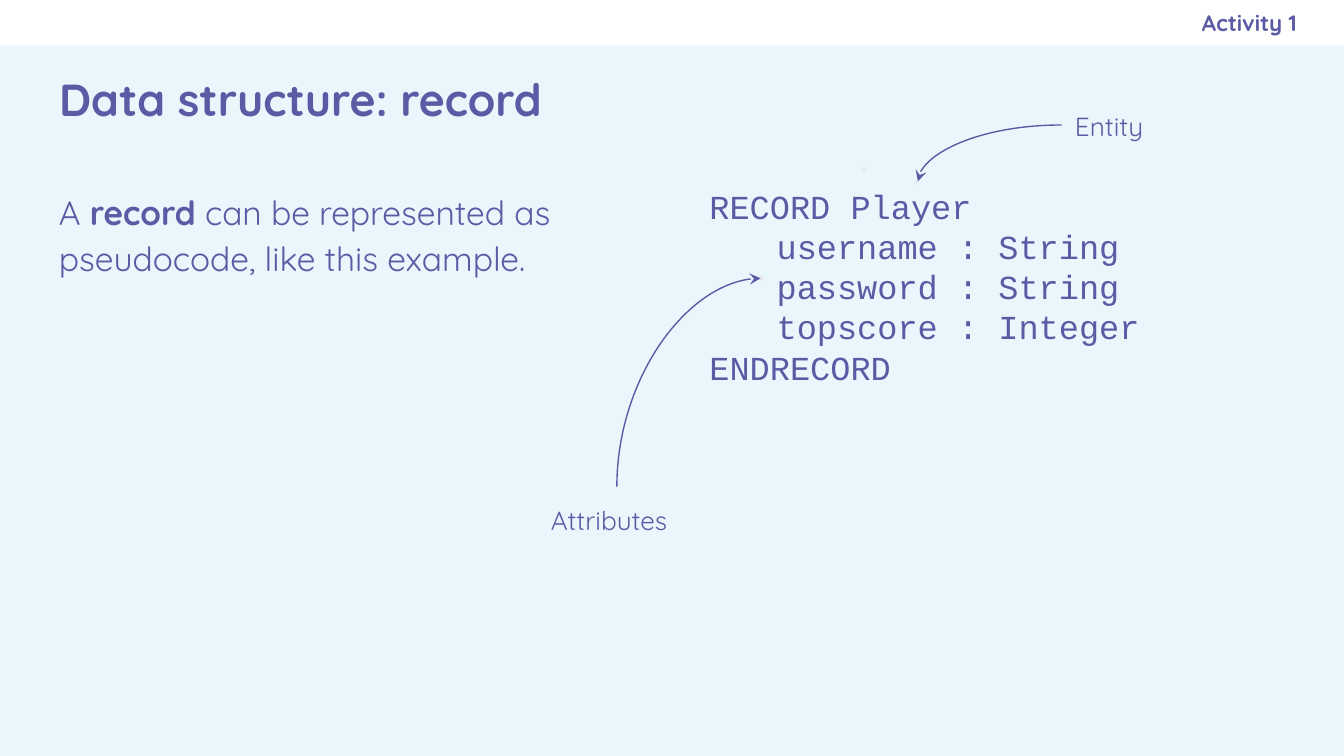
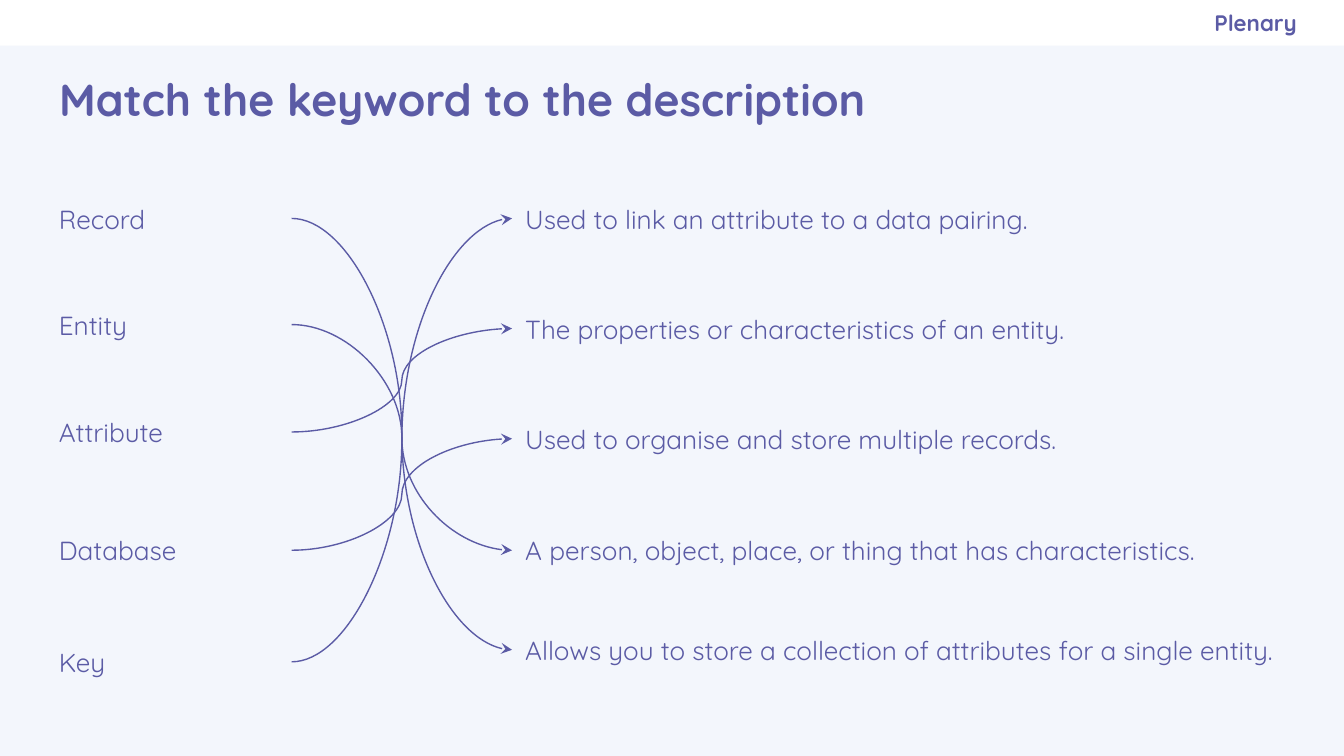
from dataclasses import dataclass, field
from typing import Any, NamedTuple, Optional

from lxml import etree
from pptx import Presentation
from pptx.dml.color import RGBColor
from pptx.enum.shapes import MSO_CONNECTOR, MSO_SHAPE
from pptx.enum.text import MSO_ANCHOR, MSO_AUTO_SIZE, PP_ALIGN
from pptx.oxml.ns import qn
from pptx.util import Inches, Pt

CURVE = MSO_CONNECTOR.CURVE
RECT, OVAL = MSO_SHAPE.RECTANGLE, MSO_SHAPE.OVAL
TOP, MIDDLE = MSO_ANCHOR.TOP, MSO_ANCHOR.MIDDLE
LEFT, RIGHT = PP_ALIGN.LEFT, PP_ALIGN.RIGHT
FIXED = MSO_AUTO_SIZE.NONE

INK, WHITE, PALE, EDGE = "5B5BA5", "FFFFFF", "F2F6FC", "E9E9F3"
SANS, MONO = "Quicksand", "Courier New"
WIDTH, BAND = 10, 0.34
PAD = 0.1
TITLE_ONLY = 5


class Box(NamedTuple):
    left: float
    top: float
    width: float
    height: float


class Line(NamedTuple):
    """A paragraph: (text, bold) runs and a left indent."""
    runs: list[tuple[str, bool]]
    indent: float = 0


@dataclass
class Note:
    box: Box
    lines: list[Line]
    size: int = 14
    face: str = SANS
    anchor: Any = TOP
    align: Any = LEFT
    inset: float = PAD
    para: dict[str, Any] = field(default_factory=dict)


class Bend(NamedTuple):
    """A curve with a single turn, given in its unrotated frame."""
    start: tuple[float, float]
    end: tuple[float, float]
    turn: int = 0


class Pair(NamedTuple):
    word: str
    top: float
    match: int


class Clue(NamedTuple):
    text: str
    top: float


def color(code: str) -> RGBColor:
    return RGBColor.from_string(code)


def apply(item: Any, values: dict[str, Any]) -> None:
    for name, value in values.items():
        setattr(item, name, value)


def place(shape: Any, box: Box) -> None:
    apply(shape, {k: Inches(v) for k, v in box._asdict().items()})


def plain(text: str, bold: bool = False) -> list[Line]:
    return [Line([(text, bold)])]


def write(shape: Any, note: Note) -> Any:
    place(shape, note.box)
    frame = shape.text_frame
    apply(frame, {
        "word_wrap": True, "auto_size": FIXED, "vertical_anchor": note.anchor,
        "margin_left": Inches(PAD), "margin_top": Inches(PAD),
        "margin_right": Inches(note.inset), "margin_bottom": Inches(PAD)})
    for i, line in enumerate(note.lines):
        para = frame.add_paragraph() if i else frame.paragraphs[0]
        apply(para, {"alignment": note.align, **note.para})
        if line.indent:
            para._p.get_or_add_pPr().set("marL", str(Inches(line.indent)))
        for text, bold in line.runs:
            run = para.add_run()
            run.text = text
            apply(run.font, {"name": note.face, "size": Pt(note.size), "bold": bold})
            run.font.color.rgb = color(INK)
    return shape


def add_note(slide: Any, note: Note) -> Any:
    size = [Inches(v) for v in note.box]
    return write(slide.shapes.add_textbox(*size), note)


def add_form(slide: Any, kind: Any, box: Box, fill: str, edge: Optional[str] = None) -> None:
    form = slide.shapes.add_shape(kind, *[Inches(v) for v in box])
    form.shadow.inherit = False
    form.fill.solid()
    form.fill.fore_color.rgb = color(fill)
    if edge:
        form.line.color.rgb = color(edge)
        form.line.width = Pt(0.75)
    else:
        form.line.fill.background()


def add_curve(slide: Any, start: tuple[float, float], end: tuple[float, float]) -> Any:
    curve = slide.shapes.add_connector(CURVE, *[Inches(v) for v in start + end])
    curve.line.color.rgb = color(INK)
    curve.line.width = Pt(0.75)
    props = curve._element.spPr
    tail = etree.SubElement(props.find(qn("a:ln")), qn("a:tailEnd"))
    tail.set("type", "stealth")
    etree.SubElement(props, qn("a:effectLst"))
    return curve


def add_bend(slide: Any, bend: Bend) -> None:
    props = add_curve(slide, bend.start, bend.end)._element.spPr
    props.find(qn("a:prstGeom")).set("prst", "curvedConnector2")
    if bend.turn:
        props.find(qn("a:xfrm")).set("rot", str(bend.turn * 60000))


def add_page(deck: Any, title: str, label: str, back: str) -> Any:
    """Start a slide with its background, band, title and corner label."""
    slide = deck.slides.add_slide(deck.slide_layouts[TITLE_ONLY])
    slide.background.fill.solid()
    slide.background.fill.fore_color.rgb = color(back)
    add_form(slide, RECT, Box(0, 0, WIDTH, BAND), WHITE)
    write(slide.shapes.title, Note(Box(0.34, 0.35, 9.32, 0.76), plain(title, True),
                                   size=24, anchor=MIDDLE))
    add_note(slide, Note(Box(5.75, 0, 3.9, BAND), plain(label, True), size=12,
                         anchor=MIDDLE, align=RIGHT, inset=0))
    return slide


# Record slide
LOOSE = {"line_spacing": 1.15, "space_after": Pt(16)}
NOTES = [
    Note(Box(0.34, 1.28, 4.48, 4),
         [Line([("A ", False), ("record", True),
                (" can be represented as pseudocode, like this example.", False)])],
         size=18, para=LOOSE),
    Note(Box(5.18, 1.28, 4.48, 4),
         [Line([("RECORD Player", False)]),
          *[Line([(text, False)], 0.5) for text in (
              "username : String", "password : String", "topscore : Integer")],
          Line([("ENDRECORD", False)])],
         size=18, face=MONO),
    Note(Box(7.9, 0.69, 0.72, 0.48), plain("Entity"), para=LOOSE),
    Note(Box(4, 3.62, 1.18, 0.48), plain("Attributes"), para=LOOSE),
]
DOT = 0.02
DOTS = [(6.42, 1.25), (6.81, 1.35), (5.66, 2.06)]
BENDS = [Bend((7.9, 0.93), (6.83, 1.35)),
         Bend((4.35, 2.31), (5.9, 3.38), 270)]

# Matching slide
ROW = 0.43
PAIRS = [Pair("Record", 1.41, 4), Pair("Entity", 2.2, 3), Pair("Attribute", 3, 1),
         Pair("Database", 3.88, 2), Pair("Key", 4.71, 0)]
CLUES = [
    Clue("Used to link an attribute to a data pairing.", 1.41),
    Clue("The properties or characteristics of an entity.", 2.23),
    Clue("Used to organise and store multiple records.", 3.05),
    Clue("A person, object, place, or thing that has characteristics.", 3.88),
    Clue("Allows you to store a collection of attributes for a single entity.", 4.62),
]


def draw_record(deck: Any) -> None:
    slide = add_page(deck, "Data structure: record", "Activity 1", "E9F7FC")
    for note in NOTES:
        add_note(slide, note)
    for left, top in DOTS:
        add_form(slide, OVAL, Box(left, top, DOT, DOT), PALE, EDGE)
    for bend in BENDS:
        add_bend(slide, bend)


def draw_match(deck: Any) -> None:
    slide = add_page(deck, "Match the keyword to the description", "Plenary", "F3F6FC")
    words = [add_note(slide, Note(Box(0.34, p.top, 1.83, ROW), plain(p.word)))
             for p in PAIRS]
    clues = [add_note(slide, Note(Box(3.81, c.top, 5.93, ROW), plain(c.text)))
             for c in CLUES]
    for pair, word in zip(PAIRS, words):
        clue = CLUES[pair.match]
        curve = add_curve(slide, (2.17, pair.top + ROW / 2), (3.81, clue.top + ROW / 2))
        curve.begin_connect(word, 3)
        curve.end_connect(clues[pair.match], 1)


def main() -> None:
    deck = Presentation()
    deck.slide_width = Inches(WIDTH)
    deck.slide_height = Inches(WIDTH) * 9 // 16
    draw_record(deck)
    draw_match(deck)
    deck.save("out.pptx")


if __name__ == "__main__":
    main()
